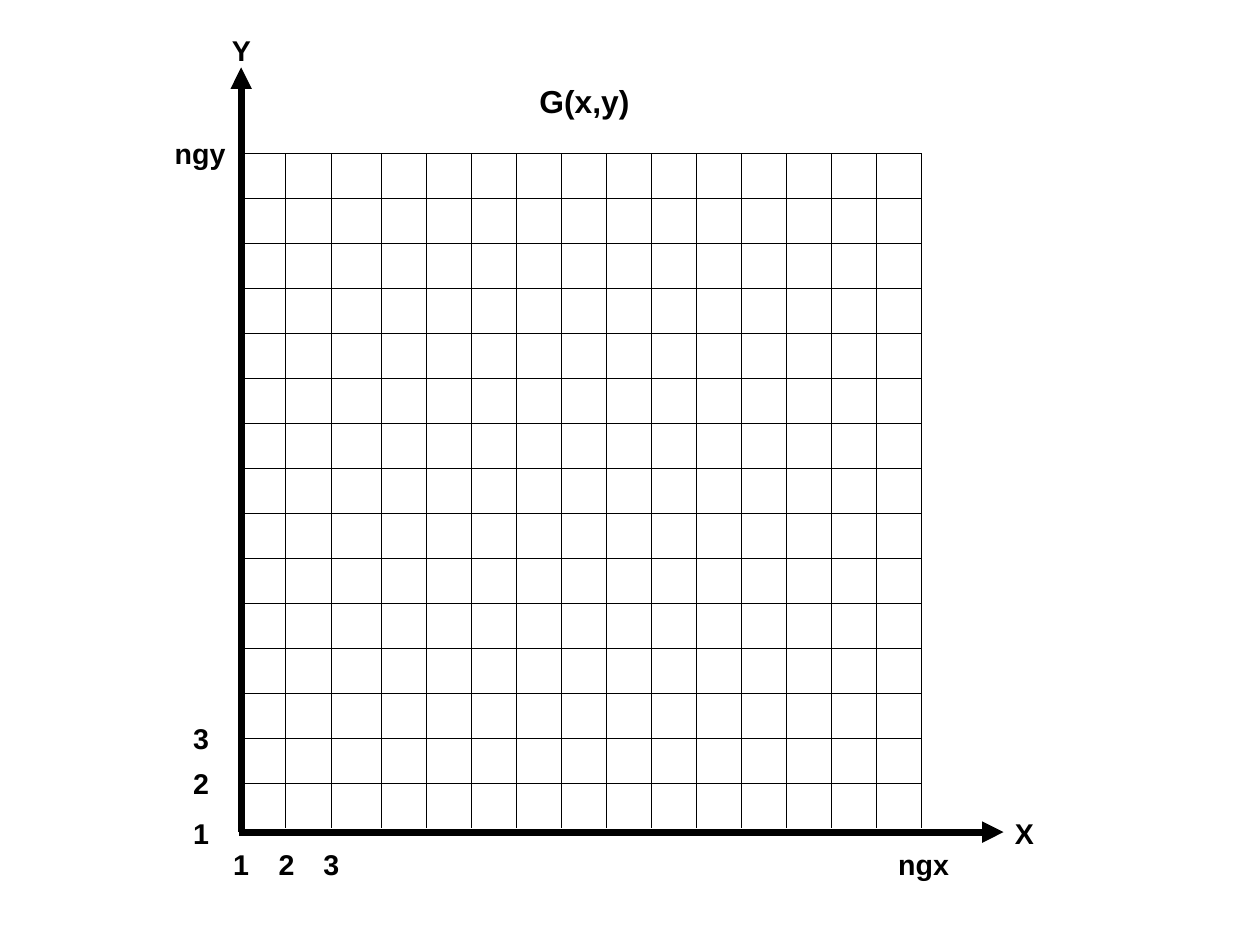
"""Draw the G(x,y) grid with its two axes and index labels."""
from pptx import Presentation, util as u
from pptx.dml.color import RGBColor
from pptx.enum import shapes, text
from pptx.oxml.ns import qn
from lxml import etree

BLACK = RGBColor(0, 0, 0)
CM_PER_INCH = 2.54
SLIDE_WIDTH, SLIDE_HEIGHT = 28 / CM_PER_INCH, 21 / CM_PER_INCH
LEFT, RIGHT, TOP, BOTTOM = 2.15, 8.06, 1.34, 7.24
ROWS, REGULAR_COLUMNS = 15, 13
STEP = 1 / CM_PER_INCH
FIRST_COLUMNS = [2.5, 2.9]
AXES = [(2.09, 7.28, 8.78, 7.28), (2.11, 7.28, 2.11, 0.59)]
AXIS_WIDTH, GRID_WIDTH = 4.5, 0
X_LABEL_TOP, Y_LABEL_LEFT = 7.36, 1.59
X_INDEXES = [("1", 1.94), ("2", 2.34), ("3", 2.73)]
Y_INDEXES = [("1", 7.09), ("2", 6.65), ("3", 6.26)]
NAMES = [
    ("ngx", 7.76, X_LABEL_TOP, 0.71, 0.38, 18),
    ("ngy", 1.43, 1.14, 0.71, 0.38, 18),
    ("X", 8.78, 7.09, 0.43, 0.38, 18),
    ("Y", 1.93, 0.24, 0.36, 0.38, 18),
    ("G(x,y)", 4.62, 0.67, 0.99, 0.41, 20),
]


def draw_line(slide, ends, width, arrow=False):
    """Draw a black line, with an arrowhead at its end if asked."""
    line = slide.shapes.add_connector(
        shapes.MSO_CONNECTOR.STRAIGHT, *map(u.Inches, ends))
    line.line.color.rgb = BLACK
    stroke = line._element.spPr.find(qn("a:ln"))
    stroke.set("w", str(int(u.Pt(width))))
    if arrow:
        etree.SubElement(stroke, qn("a:tailEnd"), type="triangle")
    etree.SubElement(line._element.spPr, qn("a:effectLst"))


def write_label(slide, words, left, top, width, height, size):
    """Write one bold label."""
    label = slide.shapes.add_textbox(*map(u.Inches, (left, top, width, height)))
    frame = label.text_frame
    frame.word_wrap = False
    frame.auto_size = text.MSO_AUTO_SIZE.SHAPE_TO_FIT_TEXT
    run = frame.paragraphs[0].add_run()
    run.text = words
    for key, value in {"name": "Arial", "size": u.Pt(size), "bold": True}.items():
        setattr(run.font, key, value)
    run.font.color.rgb = BLACK


def main():
    """Build and save the slide."""
    deck = Presentation()
    deck.slide_width = u.Inches(SLIDE_WIDTH)
    deck.slide_height = u.Inches(SLIDE_HEIGHT)
    slide = deck.slides.add_slide(deck.slide_layouts[6])

    for axis in AXES:
        draw_line(slide, axis, AXIS_WIDTH, arrow=True)
    for row in range(ROWS):
        y = TOP + row * STEP
        draw_line(slide, (LEFT, y, RIGHT, y), GRID_WIDTH)
    columns = FIRST_COLUMNS + [RIGHT - i * STEP for i in reversed(range(REGULAR_COLUMNS))]
    for x in columns:
        draw_line(slide, (x, BOTTOM, x, TOP), GRID_WIDTH)

    x_labels = [(index, x, X_LABEL_TOP, 0.41, 0.38, 18) for index, x in X_INDEXES]
    y_labels = [(index, Y_LABEL_LEFT, y, 0.41, 0.38, 18) for index, y in Y_INDEXES]
    for label in NAMES + x_labels + y_labels:
        write_label(slide, *label)
    deck.save("out.pptx")


if __name__ == "__main__":
    main()
